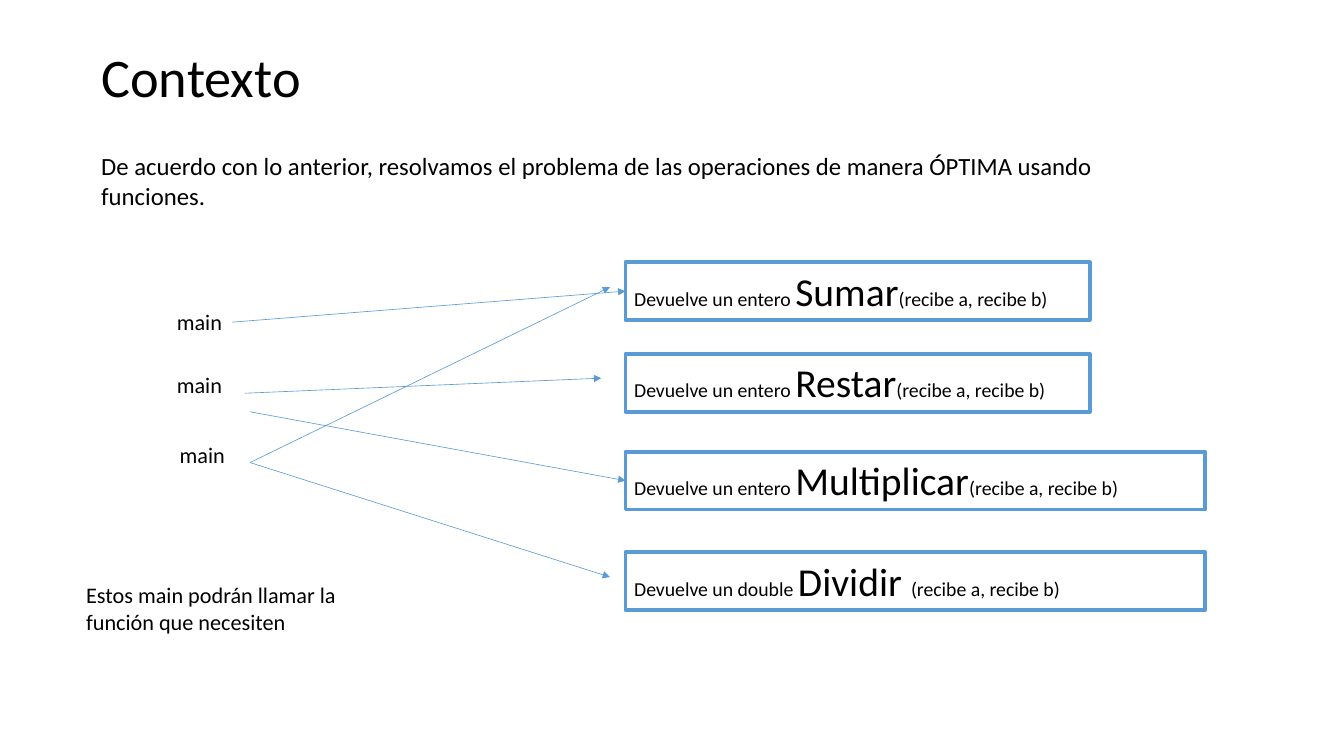
"""Build the slide on main programs calling shared functions."""
from lxml.etree import SubElement
from pptx import Presentation
from pptx.dml.color import RGBColor
from pptx.enum.shapes import MSO_CONNECTOR, MSO_SHAPE
from pptx.enum.text import MSO_ANCHOR, PP_ALIGN
from pptx.oxml.ns import qn
from pptx.util import Cm, Pt

BLACK, WHITE, BLUE = "000000", "FFFFFF", "5B9BD5"
TITLE = "Contexto"
INTRO = ("De acuerdo con lo anterior, resolvamos el problema de las operaciones "
         "de manera ÓPTIMA usando funciones.")
NOTE = "Estos main podrán llamar la función que necesiten"
ARGS = "(recibe a, recibe b)"
BOXES = [
    ("Devuelve un entero ", "Sumar", 7.49, 13.26),
    ("Devuelve un entero ", "Restar", 10.11, 13.26),
    ("Devuelve un entero ", "Multiplicar", 12.9, 16.56),
    ("Devuelve un double ", "Dividir ", 15.77, 16.56),
]
MAINS = [(4.8, 8.69), (4.8, 10.49), (4.88, 12.47)]
BOX_LEFT, BOX_HIGH = 17.86, 1.65
FORK = (7.14, 13.21)


def color(code):
    return RGBColor.from_string(code)


def style(run, size):
    run.font.name = "Calibri"
    run.font.size = Pt(size)
    run.font.color.rgb = color(BLACK)


def add_text(slide, text, size, place, wrap=True):
    box = slide.shapes.add_textbox(*map(Cm, place))
    box.text_frame.word_wrap = wrap
    box.text_frame.text = text
    style(box.text_frame.paragraphs[0].runs[0], size)
    return box


def add_box(slide, kind, name, top, width):
    box = slide.shapes.add_shape(
        MSO_SHAPE.RECTANGLE, *map(Cm, (BOX_LEFT, top, width, BOX_HIGH)))
    box.shadow.inherit = False
    box.fill.solid()
    box.fill.fore_color.rgb = color(WHITE)
    box.line.color.rgb = color(BLUE)
    box.line.width = Pt(3)
    frame = box.text_frame
    frame.word_wrap = True
    frame.vertical_anchor = MSO_ANCHOR.TOP
    para = frame.paragraphs[0]
    para.alignment = PP_ALIGN.LEFT
    for text, size in ((kind, 16), (name, 32), (ARGS, 16)):
        run = para.add_run()
        run.text = text
        style(run, size)
    return box


def add_arrow(slide, start, end):
    points = [point if isinstance(point, tuple) else (0, 0) for point in (start, end)]
    arrow = slide.shapes.add_connector(
        MSO_CONNECTOR.STRAIGHT, *(Cm(n) for point in points for n in point))
    if not isinstance(start, tuple):
        arrow.begin_connect(start, 3)
    if not isinstance(end, tuple):
        arrow.end_connect(end, 1)
    arrow.line.color.rgb = color(BLUE)
    arrow.line.width = Pt(0.5)
    SubElement(arrow.line._get_or_add_ln(), qn("a:tailEnd"), type="triangle")
    SubElement(arrow._element.spPr, qn("a:effectLst"))


def main():
    deck = Presentation()
    deck.slide_width, deck.slide_height = Cm(38.38), Cm(21.59)
    slide = deck.slides.add_slide(deck.slide_layouts[5])

    title = slide.shapes.title
    title.left, title.top, title.width, title.height = map(Cm, (2.64, 1.14, 33.1, 2.29))
    title.text_frame.text = TITLE
    title.text_frame.vertical_anchor = MSO_ANCHOR.MIDDLE
    head = title.text_frame.paragraphs[0]
    head.alignment = PP_ALIGN.LEFT
    head.line_spacing = 0.9
    style(head.runs[0], 44)

    add_text(slide, INTRO, 20, (2.64, 4.19, 30.58, 1.96))
    boxes = [add_box(slide, *item) for item in BOXES]
    mains = [add_text(slide, "main", 18, (left, top, 1.83, 1.02), False)
             for left, top in MAINS]
    add_text(slide, NOTE, 18, (2.21, 16.48, 9.4, 1.8))

    for start, end in [
        (mains[0], boxes[0]),
        ((6.99, 11.23), (17.17, 10.8)),
        ((7.14, 11.76), boxes[2]),
        (FORK, (17.42, 8.2)),
        (FORK, (17.42, 16.48)),
    ]:
        add_arrow(slide, start, end)
    deck.save("out.pptx")


if __name__ == "__main__":
    main()
